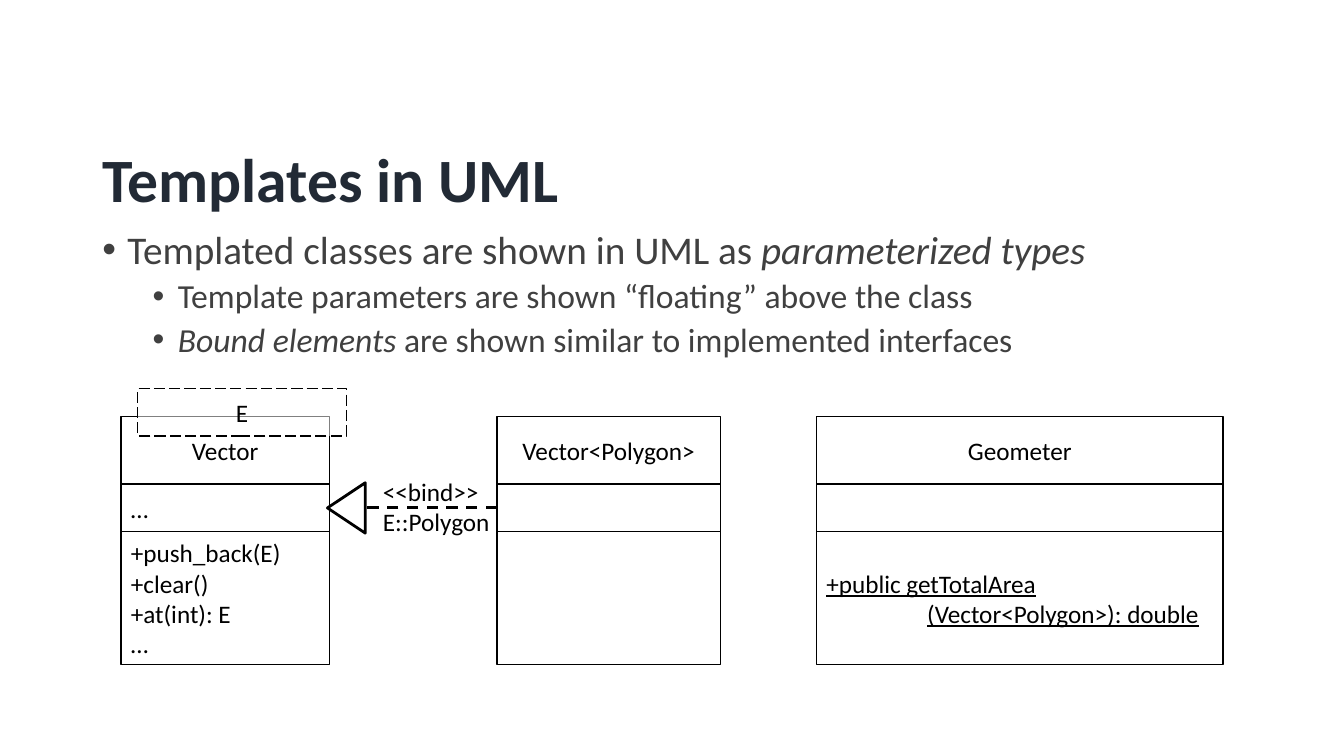
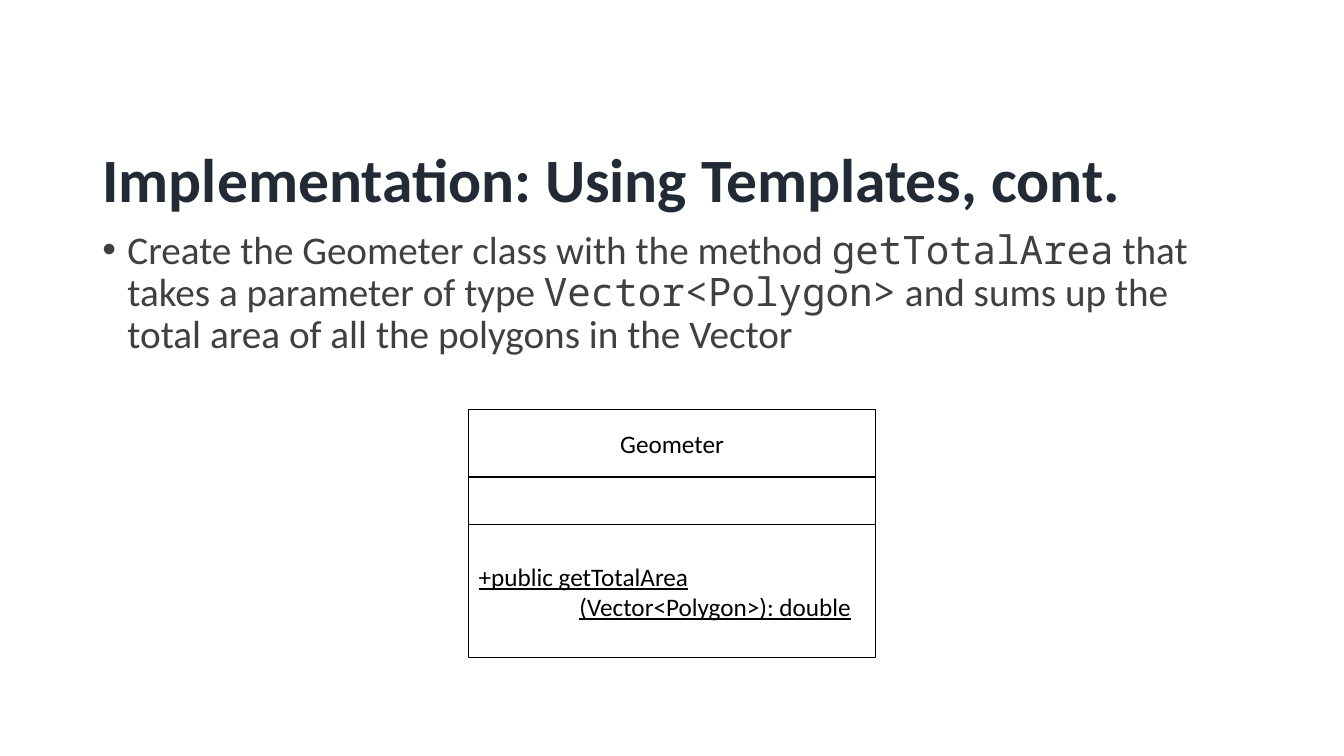
from dataclasses import dataclass

from lxml import etree
from pptx import Presentation
from pptx.dml.color import RGBColor
from pptx.enum import dml, shapes, text
from pptx.oxml import ns
from pptx.util import Pt

LEFT, CENTER = text.PP_ALIGN.LEFT, text.PP_ALIGN.CENTER


@dataclass(frozen=True)
class Theme:
    """Colours, fonts and type sizes of the deck."""
    title: str = "222A35"
    body: str = "404040"
    ink: str = "000000"
    paper: str = "FFFFFF"
    font: str = "Calibri"
    mono: str = "Noto Sans Mono"
    title_size: int = 44
    body_sizes: tuple = (28, 24)
    label_size: int = 18
    thin: int = 1
    thick: int = 2


T = Theme()
TITLE_BOX = (66, 103, 828, 48)
BODY_BOX = (66, 161, 828, 95)
ROWS = (48.4, 34, 95)
GEOMETER_WIDTH = 290.4
GEOMETER = ("Geometer", (), ("+public getTotalArea", "(Vector<Polygon>): double"))


def rgb(value):
    """Return a colour from its hex value."""
    return RGBColor.from_string(value)


def write(p, words, size=T.label_size, color=T.ink, font=T.font, **style):
    """Add a run of text to a paragraph; style holds further font attributes."""
    r = p.add_run()
    r.text = words
    r.font.size, r.font.name = Pt(size), font
    r.font.color.rgb = rgb(color)
    for name, value in style.items():
        setattr(r.font, name, value)


def paragraphs(tf, count):
    """Yield the first paragraph of a frame and then new ones."""
    yield tf.paragraphs[0]
    for _ in range(count - 1):
        yield tf.add_paragraph()


def write_lines(tf, lines, align=LEFT, hang=0, **style):
    """Write one paragraph a line; lines after the first are indented by hang."""
    for i, p in enumerate(paragraphs(tf, len(lines))):
        p.alignment = align
        if hang and i:
            p._p.get_or_add_pPr().set("marL", str(Pt(hang)))
        write(p, lines[i], **style)


def add_title(slide, words):
    """Place and format the title."""
    sp = slide.shapes.title
    sp.left, sp.top, sp.width, sp.height = map(Pt, TITLE_BOX)
    tf = sp.text_frame
    tf.vertical_anchor = text.MSO_ANCHOR.TOP
    p = tf.paragraphs[0]
    p.alignment, p.line_spacing = LEFT, 0.9
    write(p, words, T.title_size, T.title, bold=True)


def add_bullets(slide, items):
    """Place the bulleted body; an item is a level and its runs with their style."""
    tf = slide.shapes.add_textbox(*map(Pt, BODY_BOX)).text_frame
    tf.word_wrap = True
    for p, (level, runs) in zip(paragraphs(tf, len(items)), items):
        p.level, p.line_spacing = level, 0.9
        p.space_before = Pt((10, 5)[level])
        pPr = p._p.get_or_add_pPr()
        pPr.set("marL", str(Pt(18 + 36 * level)))
        pPr.set("indent", str(Pt(-18)))
        etree.SubElement(pPr, ns.qn("a:buFont"), typeface="Arial")
        etree.SubElement(pPr, ns.qn("a:buChar"), char="•")
        for words, style in runs:
            write(p, words, T.body_sizes[level], T.body, **style)


def add_box(slide, box, kind=shapes.MSO_SHAPE.RECTANGLE, fill=None, weight=T.thin):
    """Add an outlined shape, empty unless a fill is given."""
    sp = slide.shapes.add_shape(kind, *map(Pt, box))
    sp.shadow.inherit = False
    if fill:
        sp.fill.solid()
        sp.fill.fore_color.rgb = rgb(fill)
    else:
        sp.fill.background()
    sp.line.color.rgb, sp.line.width = rgb(T.ink), Pt(weight)
    sp.text_frame.vertical_anchor = text.MSO_ANCHOR.MIDDLE
    return sp


def add_class(slide, left, top, width, name, attributes=(), methods=(), **style):
    """Stack the three compartments of a UML class and return them."""
    boxes = []
    contents = ((name,), attributes, methods)
    for i, (height, lines) in enumerate(zip(ROWS, contents)):
        sp = add_box(slide, (left, top, width, height))
        if lines:
            write_lines(sp.text_frame, lines, LEFT if i else CENTER,
                        **(style if i == 2 else {}))
        boxes.append(sp)
        top += height
    return boxes


def add_geometer(slide, left, top):
    """Place the Geometer class with its static method."""
    add_class(slide, left, top, GEOMETER_WIDTH, *GEOMETER, hang=72, underline=True)


def add_parameter(slide, left, top, width, name):
    """Float a template parameter over the corner of a class."""
    sp = add_box(slide, (left + 12, top - 20, width, 34), fill=T.paper)
    sp.line.dash_style = dml.MSO_LINE.LONG_DASH
    color = sp._element.spPr.find(ns.qn("a:solidFill")).find(ns.qn("a:srgbClr"))
    etree.SubElement(color, ns.qn("a:alpha"), val="50000")
    write_lines(sp.text_frame, (name,), CENTER)


def add_binding(slide, bound, template, lines):
    """Join a bound class to its template with a dashed line, triangle and label."""
    cx = slide.shapes.add_connector(shapes.MSO_CONNECTOR.STRAIGHT, 0, 0, 0, 0)
    cx.begin_connect(bound, 1)
    cx.end_connect(template, 3)
    cx.line.color.rgb, cx.line.width = rgb(T.ink), Pt(T.thick)
    cx.line.dash_style = dml.MSO_LINE.DASH
    etree.SubElement(cx._element.spPr, ns.qn("a:effectLst"))

    x = template.left.pt + template.width.pt
    y = template.top.pt + template.height.pt / 2
    head = add_box(slide, (x - 6, y - 13.5, 36, 27),
                   shapes.MSO_SHAPE.ISOSCELES_TRIANGLE, T.paper, T.thick)
    head.rotation = 270
    tf = slide.shapes.add_textbox(Pt(x + 31), Pt(y - 26), Pt(91), Pt(51)).text_frame
    tf.word_wrap = False
    tf.auto_size = text.MSO_AUTO_SIZE.SHAPE_TO_FIT_TEXT
    write_lines(tf, lines)


def add_slide(prs, title, bullets):
    """Add a title-only slide with its title and body."""
    slide = prs.slides.add_slide(prs.slide_layouts[5])
    add_title(slide, title)
    add_bullets(slide, bullets)
    return slide


def templates_slide(prs):
    """Show a template, its bound class and the class that uses it."""
    italic = {"italic": True}
    slide = add_slide(prs, "Templates in UML", (
        (0, (("Templated classes are shown in UML as ", {}),
             ("parameterized types", italic))),
        (1, (("Template parameters are shown “floating” above the class", {}),)),
        (1, (("Bound elements ", italic),
             ("are shown similar to implemented interfaces", {}))),
    ))
    left, top, width = 86.4, 297.4, 149
    vector = add_class(slide, left, top, width, "Vector", ("…",),
                       ("+push_back(E)", "+clear()", "+at(int): E", "…"))
    bound = add_class(slide, 355, top, 159.6, "Vector<Polygon>")
    add_binding(slide, bound[1], vector[1], ("<<bind>>", "E::Polygon"))
    add_parameter(slide, left, top, width, "E")
    add_geometer(slide, 583.2, top)


def implementation_slide(prs):
    """Show the class to be implemented."""
    mono = {"font": T.mono}
    slide = add_slide(prs, "Implementation: Using Templates, cont.", (
        (0, (("Create the Geometer class with the method ", {}),
             ("getTotalArea", mono),
             (" that takes a parameter of type ", {}),
             ("Vector<Polygon>", mono),
             (" and sums up the total area of all the polygons in the Vector", {}))),
    ))
    add_geometer(slide, 334.8, 292.4)


def main():
    """Build and save the deck."""
    prs = Presentation()
    prs.slide_width, prs.slide_height = Pt(960), Pt(540)
    templates_slide(prs)
    implementation_slide(prs)
    prs.save("out.pptx")


if __name__ == "__main__":
    main()
